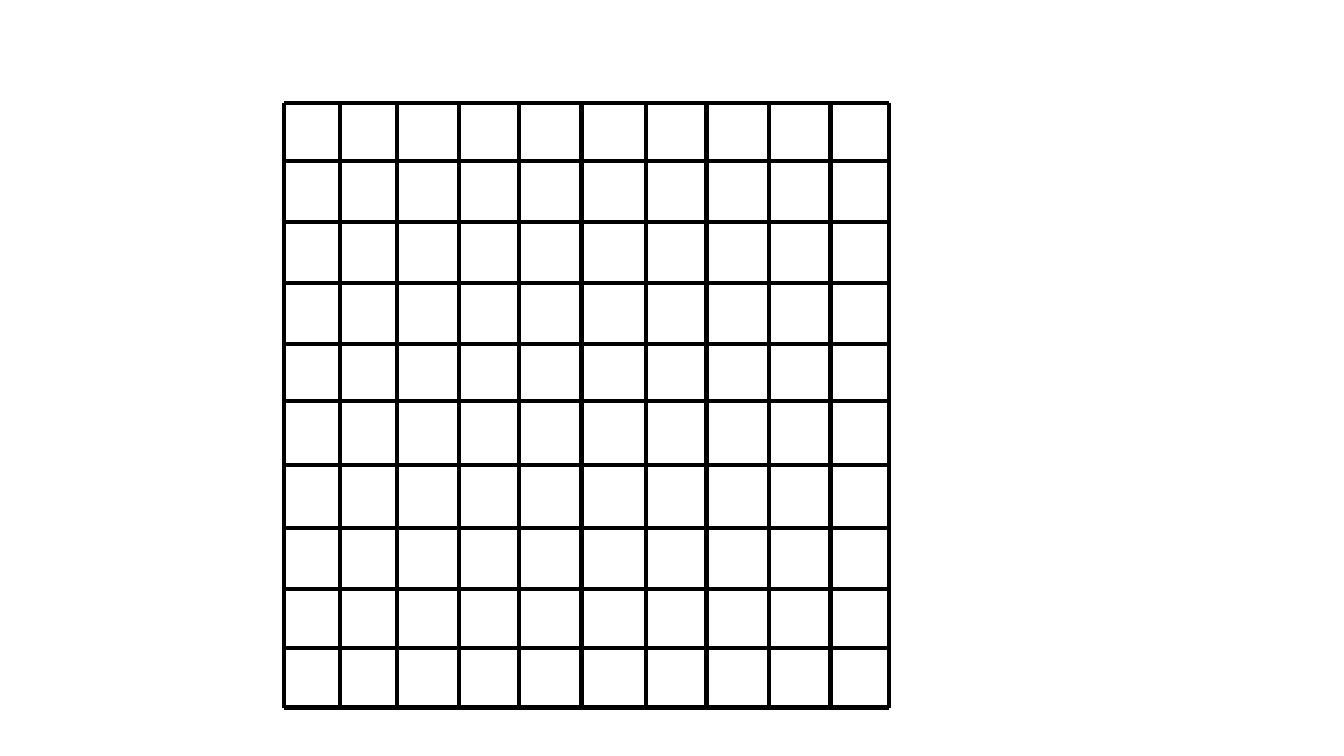
from typing import NamedTuple

from lxml import etree
from pptx import Presentation
from pptx import util as u
from pptx.dml import color
from pptx.enum import shapes
from pptx.oxml import ns
from pptx.slide import Slide

COLORS = {"background": "FFFFFF", "grid": "000000"}
LINE_WIDTH = 3
GRID_LEFT, GRID_TOP, GRID_SIZE = 203, 73.4, 432
GRID_RIGHT, GRID_BOTTOM = GRID_LEFT + GRID_SIZE, GRID_TOP + GRID_SIZE
COLUMN_EDGES = [GRID_LEFT, 242.6, 283.7, 327.6, 370.8, 415.4, 461.5, 504.7, 549.4, 593.3, GRID_RIGHT]
ROW_EDGES = [GRID_TOP, 115.2, 158.4, 202.3, 245.5, 286.6, 331.9, 377.3, 420.5, 463, GRID_BOTTOM]


class GridLine(NamedTuple):
    start_x: float
    start_y: float
    end_x: float
    end_y: float


def draw_line(slide: Slide, line: GridLine) -> None:
    connector = slide.shapes.add_connector(
        shapes.MSO_CONNECTOR.STRAIGHT, *(u.Pt(length) for length in line)
    )
    connector.line.color.rgb = color.RGBColor.from_string(COLORS["grid"])
    connector.line.width = u.Pt(LINE_WIDTH)
    properties = connector._element.find(ns.qn("p:spPr"))
    etree.SubElement(properties, ns.qn("a:effectLst"))


def main() -> None:
    presentation = Presentation()
    presentation.slide_width = u.Pt(960)
    presentation.slide_height = u.Pt(540)
    slide = presentation.slides.add_slide(presentation.slide_layouts[6])
    slide.background.fill.solid()
    slide.background.fill.fore_color.rgb = color.RGBColor.from_string(COLORS["background"])

    columns = [GridLine(x, GRID_TOP, x, GRID_BOTTOM) for x in COLUMN_EDGES]
    rows = [GridLine(GRID_LEFT, y, GRID_RIGHT, y) for y in ROW_EDGES]
    for line in columns + rows:
        draw_line(slide, line)

    presentation.save("out.pptx")


if __name__ == "__main__":
    main()
